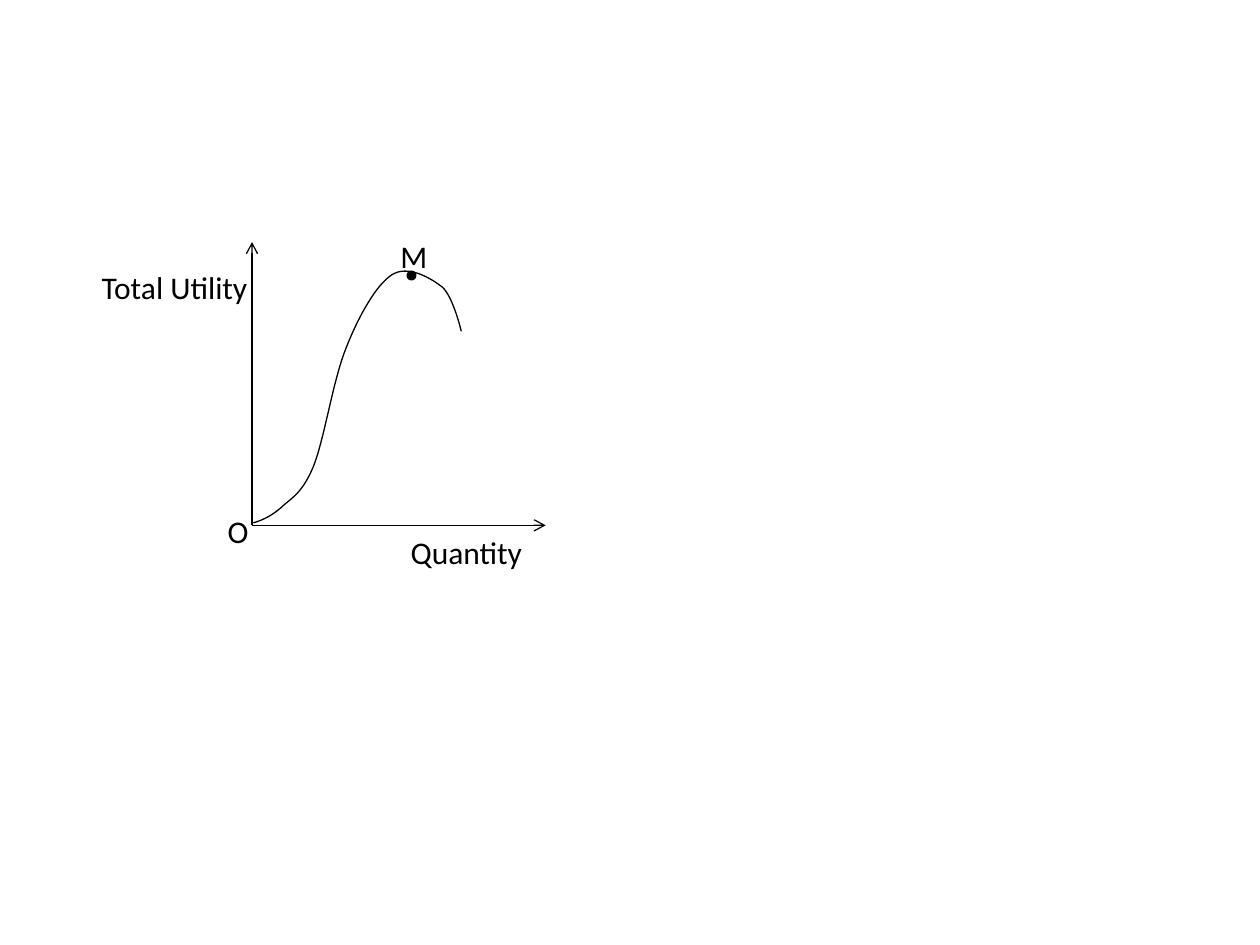
from dataclasses import dataclass

from lxml import etree
from pptx import Presentation, util as u
from pptx.dml.color import RGBColor
from pptx.enum import shapes, text
from pptx.oxml.ns import qn


@dataclass(frozen=True)
class Theme:
    ink: RGBColor = RGBColor(0, 0, 0)
    font: str = "Calibri"
    size: int = 18
    thin: float = 0.75
    thick: float = 2


# Content, in centimetres
ORIGIN = (5.08, 10.59)
ENDS = [(5.08, 4.88), (11.0, 10.59)]
START = (5.11, 10.54)
# Each curve part: two control points and an end point
CURVE = [
    ((5.28, 10.49), (5.46, 10.41), (5.66, 10.24)),
    ((5.84, 10.06), (6.07, 9.98), (6.3, 9.45)),
    ((6.53, 8.92), (6.71, 7.67), (6.98, 7.01)),
    ((7.24, 6.35), (7.59, 5.74), (7.9, 5.54)),
    ((8.23, 5.33), (8.69, 5.61), (8.92, 5.79)),
    ((9.14, 5.99), (9.3, 6.68), (9.3, 6.68)),
]
STEPS = 16
PEAK = (8.23, 5.49, 0.13)  # left, top, diameter
LABELS = [  # text, left, top, width
    ("M", 7.82, 4.65, 1.07),
    ("Quantity", 8.03, 10.62, 2.95),
    ("Total Utility", 1.8, 5.28, 3.48),
    ("O", 4.34, 10.19, 0.94),
]
HIGH = 1.03

theme = Theme()


def cm(*vals):
    return [u.Cm(v) for v in vals]


def ink(line, width):
    line.color.rgb = theme.ink
    line.width = u.Pt(width)


def axis(slide, end):
    item = slide.shapes.add_connector(
        shapes.MSO_CONNECTOR.STRAIGHT, *cm(*ORIGIN, *end))
    ink(item.line, theme.thin)
    props = item._element.spPr
    tip = etree.SubElement(props.find(qn("a:ln")), qn("a:tailEnd"))
    tip.set("type", "arrow")
    etree.SubElement(props, qn("a:effectLst"))


def trace(start, parts):
    """Points along the chained cubic curves."""
    for one, two, end in parts:
        for step in range(1, STEPS + 1):
            t = step / STEPS
            s = 1 - t
            yield cm(*(s**3 * a + 3 * s * s * t * b + 3 * s * t * t * c + t**3 * d
                       for a, b, c, d in zip(start, one, two, end)))
        start = end


def label(slide, words, left, top, width):
    frame = slide.shapes.add_textbox(*cm(left, top, width, HIGH)).text_frame
    frame.word_wrap = False
    frame.auto_size = text.MSO_AUTO_SIZE.SHAPE_TO_FIT_TEXT
    para = frame.paragraphs[0]
    para.text = words
    para.font.name = theme.font
    para.font.size = u.Pt(theme.size)
    para.font.color.rgb = theme.ink


def main():
    deck = Presentation()
    deck.slide_width, deck.slide_height = cm(25.4, 19.05)
    slide = deck.slides.add_slide(deck.slide_layouts[6])

    # Axes
    for end in ENDS:
        axis(slide, end)

    # Total utility curve
    pen = slide.shapes.build_freeform(*cm(*START))
    pen.add_line_segments(list(trace(START, CURVE)), close=False)
    curve = pen.convert_to_shape()
    curve.shadow.inherit = False
    curve.fill.background()
    ink(curve.line, theme.thin)

    # Peak
    left, top, size = PEAK
    dot = slide.shapes.add_shape(
        shapes.MSO_SHAPE.OVAL, *cm(left, top, size, size))
    dot.shadow.inherit = False
    dot.fill.solid()
    dot.fill.fore_color.rgb = theme.ink
    ink(dot.line, theme.thick)

    # Labels
    for item in LABELS:
        label(slide, *item)

    deck.save("out.pptx")


if __name__ == "__main__":
    main()
